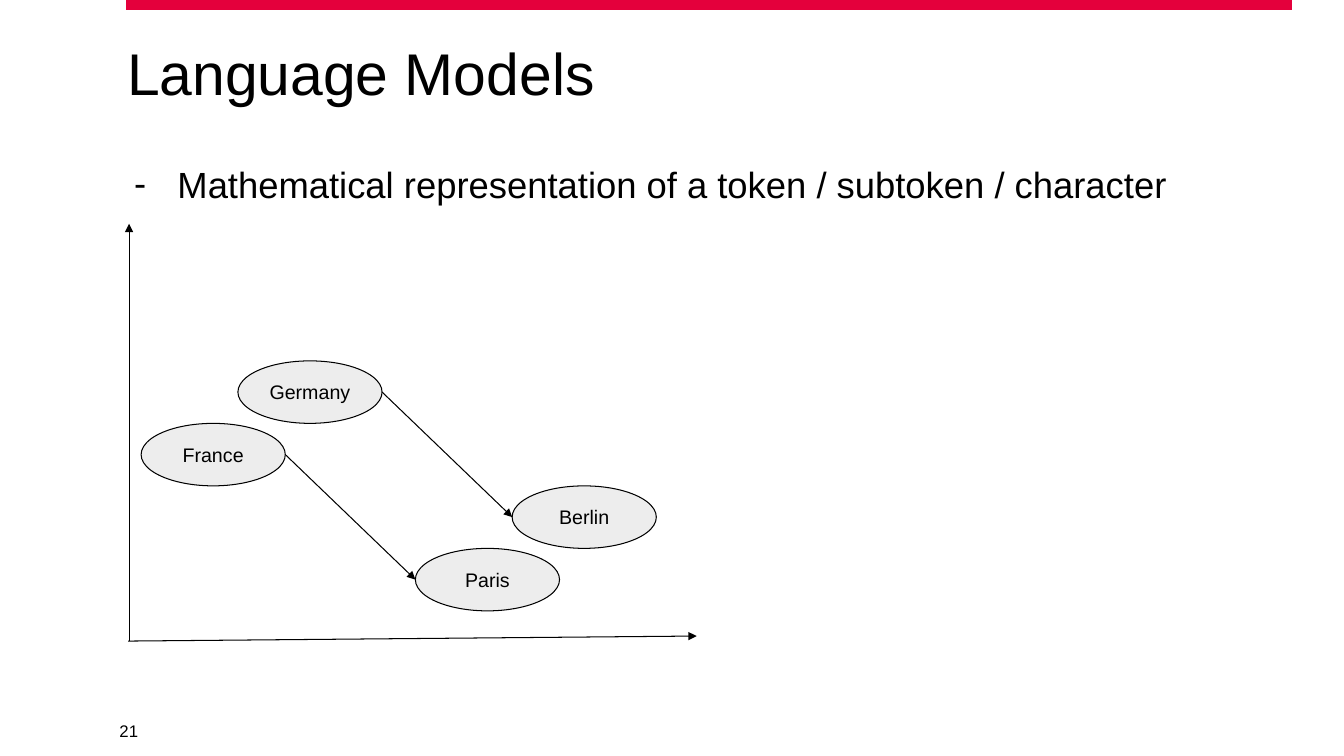
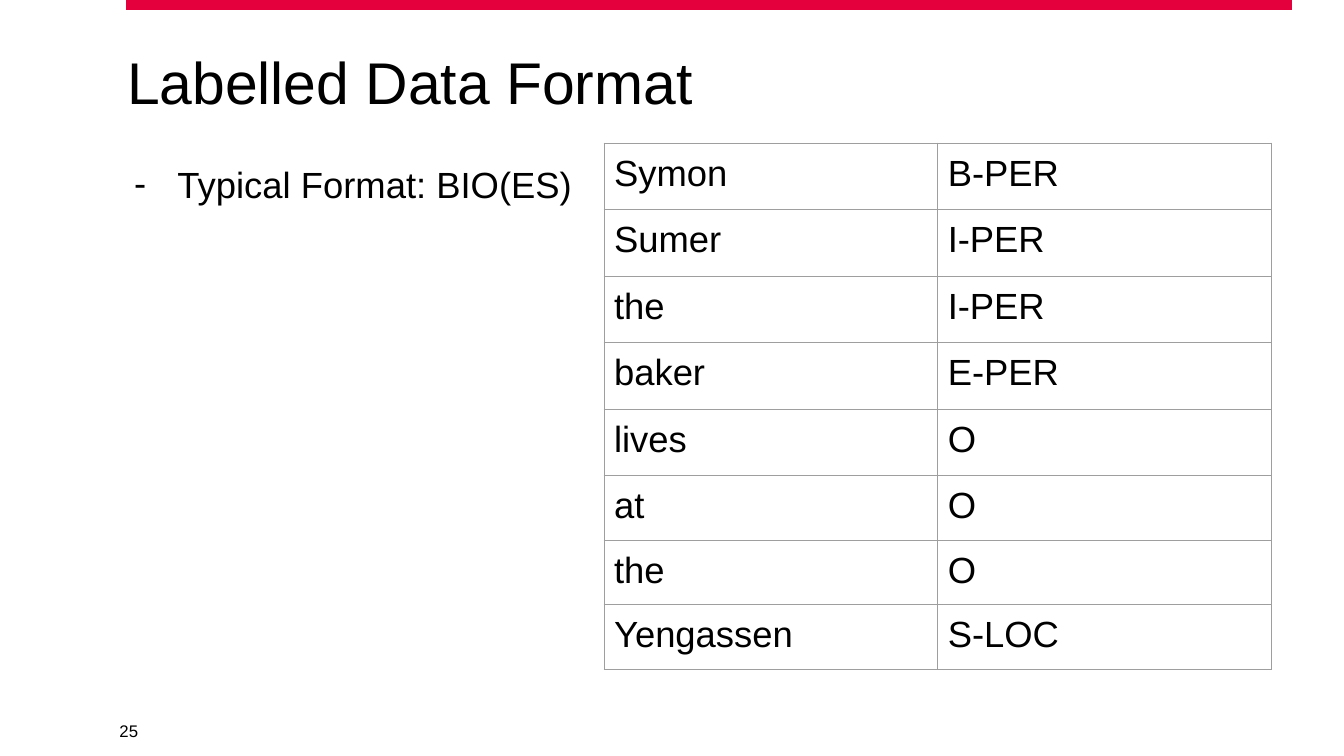
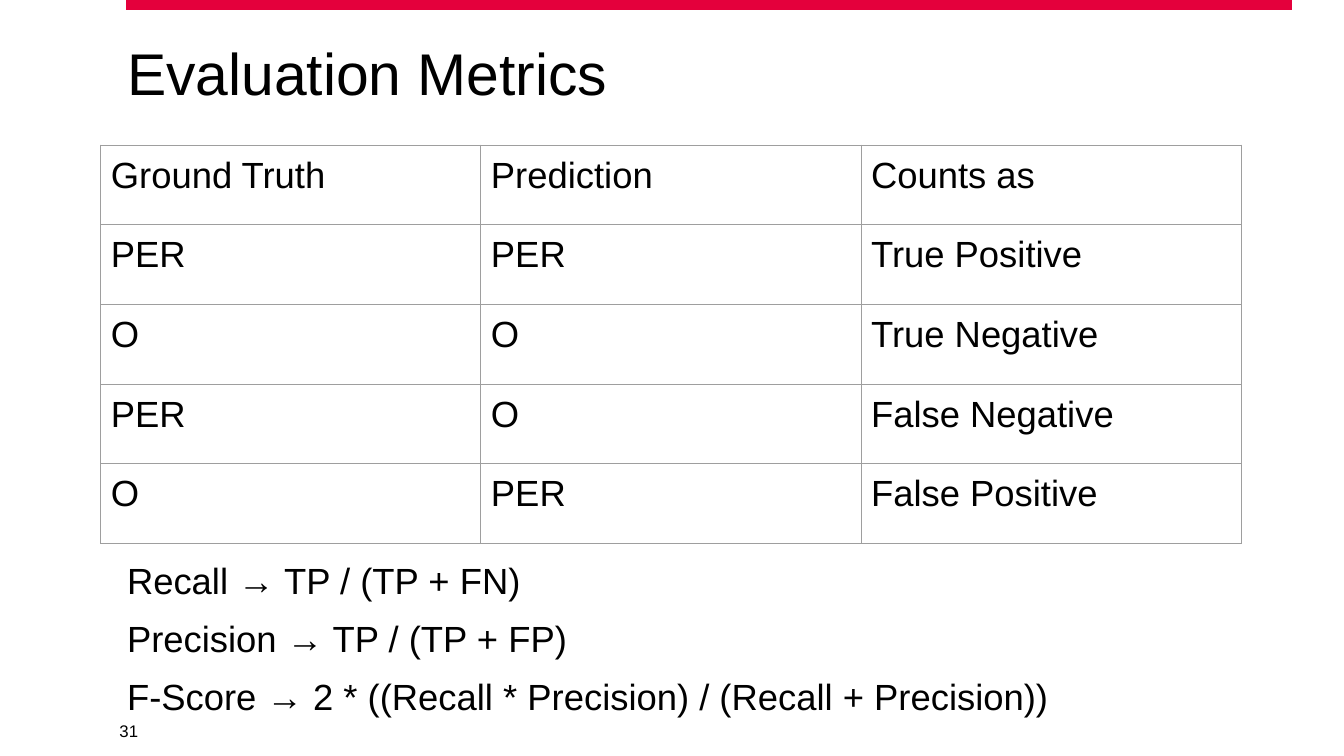
import pptx
import pptx.dml.color
import pptx.enum.shapes
import pptx.enum.text
import pptx.oxml
import pptx.util
from lxml import etree

Inches, Pt = pptx.util.Inches, pptx.util.Pt
color = pptx.dml.color.RGBColor.from_string
ANCHOR = pptx.enum.text.MSO_ANCHOR
ALIGN = pptx.enum.text.PP_ALIGN

BLACK, RED, BORDER_GREY, NODE_GREY = "000000", "E4003C", "9E9E9E", "EDEDED"
TITLE_SIZE, BODY_SIZE, NODE_SIZE, NUMBER_SIZE = 42, 26, 14, 12
NS = 'xmlns:a="http://schemas.openxmlformats.org/drawingml/2006/main"'
TEXT_LEFT, TEXT_WIDTH = 1.16, 11.5

SLIDES = [
    dict(number="21", title="Language Models", title_top=0.32, spacing=0.9,
         bulleted=True, body_top=1.56, body_height=4.76,
         body=["Mathematical representation of a token / subtoken / character"]),
    dict(number="25", title="Labelled Data Format", title_top=0.37, spacing=1.0,
         bulleted=True, body_top=1.56, body_height=4.76,
         body=["Typical Format: BIO(ES)"],
         table_at=(5.99, 1.42), column=3.31, row_heights=[0.66] * 5 + [0.64] * 3,
         rows=[("Symon", "B-PER"), ("Sumer", "I-PER"), ("the", "I-PER"),
               ("baker", "E-PER"), ("lives", "O"), ("at", "O"), ("the", "O"),
               ("Yengassen", "S-LOC")]),
    dict(number="31", title="Evaluation Metrics", title_top=0.32, spacing=0.9,
         bulleted=False, body_top=5.49, body_height=1.55,
         body=["Recall → TP / (TP + FN)", "Precision → TP / (TP + FP)",
               "F-Score → 2 * ((Recall * Precision) / (Recall + Precision))"],
         table_at=(1, 1.44), column=3.77, row_heights=[0.79] * 5,
         rows=[("Ground Truth", "Prediction", "Counts as"),
               ("PER", "PER", "True Positive"), ("O", "O", "True Negative"),
               ("PER", "O", "False Negative"), ("O", "PER", "False Positive")]),
]


def write(paragraph, text, size):
    """Add one black Arial run."""
    run = paragraph.add_run()
    run.text = text
    run.font.name = "Arial"
    run.font.size = Pt(size)
    run.font.color.rgb = color(BLACK)


def draw_line(shapes, start, end, hex_color=BLACK, width=0.75, arrow=True):
    line = shapes.add_connector(pptx.enum.shapes.MSO_CONNECTOR.STRAIGHT,
                                *map(Inches, start + end))
    line.line.color.rgb = color(hex_color)
    line.line.width = Pt(width)
    properties = line.element.spPr
    if arrow:
        properties.find(pptx.oxml.ns.qn("a:ln")).append(
            etree.fromstring(f'<a:tailEnd {NS} type="triangle"/>'))
    properties.append(etree.fromstring(f"<a:effectLst {NS}/>"))
    return line


deck = pptx.Presentation()
deck.slide_width, deck.slide_height = Inches(13.33), Inches(7.5)
layout = deck.slide_layouts[1]

for content in SLIDES:
    slide = deck.slides.add_slide(layout)

    title, body = slide.shapes.title, slide.placeholders[1]
    for holder, top, height, inset_top, anchor in (
            (title, content["title_top"], 0.82, 0.1, ANCHOR.MIDDLE),
            (body, content["body_top"], content["body_height"], 0.05, ANCHOR.TOP)):
        holder.left, holder.top = Inches(TEXT_LEFT), Inches(top)
        holder.width, holder.height = Inches(TEXT_WIDTH), Inches(height)
        frame = holder.text_frame
        frame.word_wrap = True
        frame.auto_size = pptx.enum.text.MSO_AUTO_SIZE.NONE
        frame.vertical_anchor = anchor
        frame.margin_left = frame.margin_right = Inches(0.1)
        frame.margin_top, frame.margin_bottom = Inches(inset_top), Inches(0.05)

    heading = title.text_frame.paragraphs[0]
    heading.alignment = ALIGN.LEFT
    heading.line_spacing = content["spacing"]
    write(heading, content["title"], TITLE_SIZE)

    for index, text in enumerate(content["body"]):
        frame = body.text_frame
        item = frame.add_paragraph() if index else frame.paragraphs[0]
        properties = item._p.get_or_add_pPr()
        if content["bulleted"]:
            properties.set("marL", str(Inches(0.5)))
            properties.set("indent", str(Inches(-0.43)))
            properties.append(etree.fromstring(
                f'<a:buClr {NS}><a:srgbClr val="{BLACK}"/></a:buClr>'))
            properties.append(etree.fromstring(f'<a:buFont {NS} typeface="Arial"/>'))
            properties.append(etree.fromstring(f'<a:buChar {NS} char="-"/>'))
        else:
            properties.set("marL", "0")
            properties.set("indent", "0")
            properties.append(etree.fromstring(f"<a:buNone {NS}/>"))
        item.space_before = Pt(10 if index else 0)
        write(item, text, BODY_SIZE)

    page = slide.shapes.add_textbox(Inches(1), Inches(7.05), Inches(0.41), Inches(0.4))
    frame = page.text_frame
    frame.word_wrap = True
    frame.vertical_anchor = ANCHOR.MIDDLE
    frame.margin_left = frame.margin_right = Inches(0.04)
    frame.margin_top = frame.margin_bottom = Inches(0.04)
    frame.paragraphs[0].alignment = ALIGN.RIGHT
    write(frame.paragraphs[0], content["number"], NUMBER_SIZE)

    if "rows" not in content:
        continue
    rows, heights = content["rows"], content["row_heights"]
    columns = len(rows[0])
    table = slide.shapes.add_table(
        len(rows), columns, *map(Inches, content["table_at"]),
        Inches(content["column"] * columns), Inches(sum(heights))).table
    table.first_row = table.horz_banding = False
    for column in table.columns:
        column.width = Inches(content["column"])
    for row, height, texts in zip(table.rows, heights, rows):
        row.height = Inches(height)
        for cell, text in zip(row.cells, texts):
            cell.margin_left = cell.margin_right = Inches(0.1)
            cell.margin_top = cell.margin_bottom = Inches(0.1)
            for side in "LRTB":
                cell._tc.get_or_add_tcPr().append(etree.fromstring(
                    f'<a:ln{side} {NS} w="{Pt(0.75)}"><a:solidFill>'
                    f'<a:srgbClr val="{BORDER_GREY}"/></a:solidFill></a:ln{side}>'))
            cell.fill.background()
            write(cell.text_frame.paragraphs[0], text, BODY_SIZE)

# The red band is moved to the layout, which all slides share.
diagram = deck.slides[0].shapes
band = draw_line(diagram, (1.25, 0.05), (12.81, 0.05), RED, 7.5, arrow=False)
layout.shapes.element.append(band.element)

# Word vectors: each capital lies at the same offset from its country.
draw_line(diagram, (1.28, 6.36), (1.28, 2.22))
draw_line(diagram, (1.27, 6.36), (6.91, 6.31))
NODE_WIDTH, NODE_HEIGHT = 1.43, 0.62
CAPITAL_RIGHT, CAPITAL_DOWN = 2.72, 2 * NODE_HEIGHT
for country, capital, left, top in (("Germany", "Berlin", 2.36, 3.58),
                                    ("France", "Paris", 1.4, 4.2)):
    capital_left, capital_top = left + CAPITAL_RIGHT, top + CAPITAL_DOWN
    for name, x, y in ((country, left, top), (capital, capital_left, capital_top)):
        node = diagram.add_shape(pptx.enum.shapes.MSO_SHAPE.OVAL, Inches(x), Inches(y),
                                 Inches(NODE_WIDTH), Inches(NODE_HEIGHT))
        node.shadow.inherit = False
        node.fill.solid()
        node.fill.fore_color.rgb = color(NODE_GREY)
        node.line.color.rgb = color(BLACK)
        node.line.width = Pt(0.75)
        frame = node.text_frame
        frame.vertical_anchor = ANCHOR.MIDDLE
        frame.margin_left = frame.margin_right = Inches(0.1)
        frame.margin_top = frame.margin_bottom = Inches(0.1)
        frame.paragraphs[0].alignment = ALIGN.CENTER
        write(frame.paragraphs[0], name, NODE_SIZE)
    draw_line(diagram, (left + NODE_WIDTH, top + NODE_HEIGHT / 2),
              (capital_left, capital_top + NODE_HEIGHT / 2))

deck.save("out.pptx")
